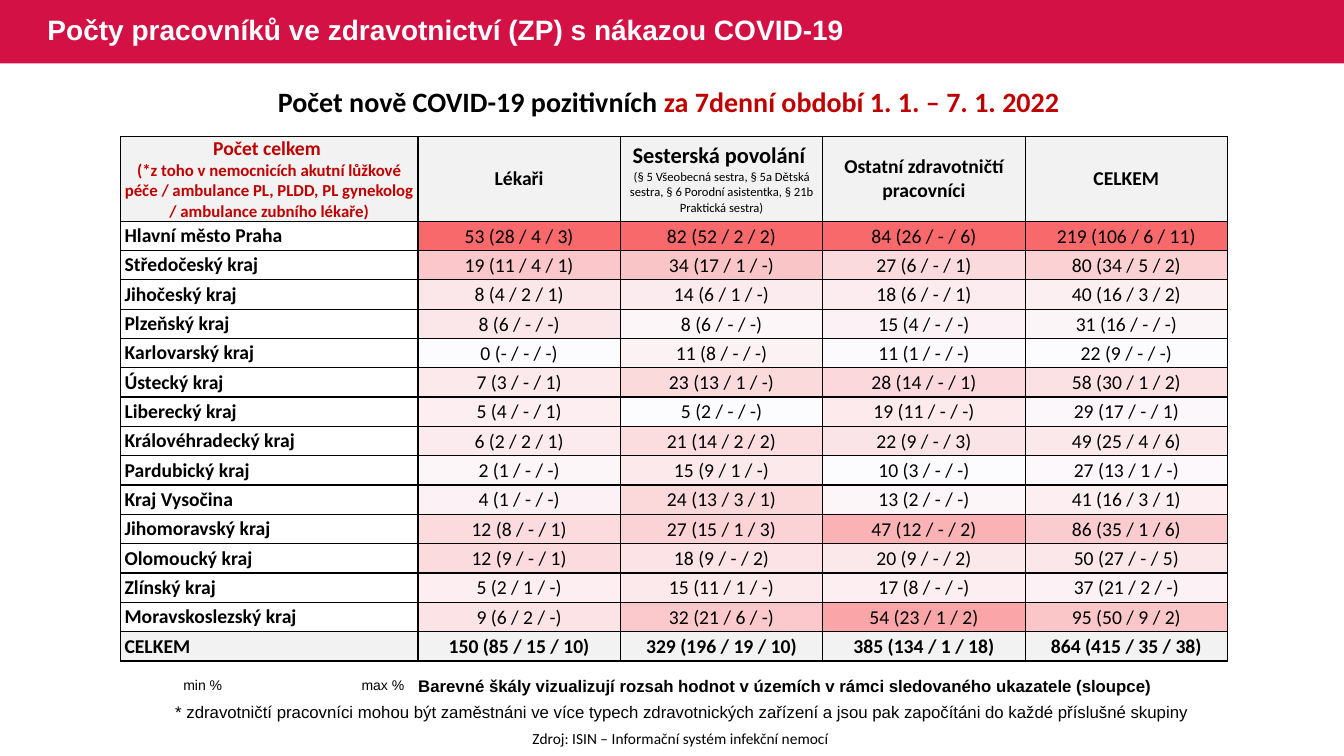
from lxml.etree import SubElement
from pptx import Presentation
from pptx.dml.color import RGBColor
from pptx.enum.shapes import MSO_SHAPE
from pptx.enum.text import MSO_ANCHOR, PP_ALIGN
from pptx.oxml.ns import qn
from pptx.util import Emu, Inches, Pt

SLIDE_WIDTH, SLIDE_HEIGHT = Inches(13.33), Inches(7.5)
BLACK, WHITE, RED, BAND, GREY = "000000", "FFFFFF", "C00000", "D31145", "F2F2F2"
SCALE_LOW, SCALE_HIGH = "FCFCFF", "F8696B"
PLAIN_TABLE_STYLE = "{2D5ABB26-0587-4C30-8999-92F81FD0307C}"

# Table grid, in percent of the slide's width and height
TABLE_LEFT, TABLE_TOP = 8.97, 18.05
LABEL_WIDTH, VALUE_WIDTH = 22.13, 15.06
HEADING_HEIGHT, ROW_HEIGHT = 11.2, 3.88

# Each heading is a list of paragraphs: text, size, bold, colour
HEADINGS = [
    [("Počet celkem ", 14, True, RED),
     ("(*z toho v nemocnicích akutní lůžkové péče / ambulance PL, PLDD, "
      "PL gynekolog / ambulance zubního lékaře)", 12, True, RED)],
    [("Lékaři", 14, True, BLACK)],
    [("Sesterská povolání ", 16, True, BLACK),
     ("(§ 5 Všeobecná sestra, § 5a Dětská sestra, § 6 Porodní asistentka, "
      "§ 21b Praktická sestra)", 9, False, BLACK)],
    [("Ostatní zdravotničtí pracovníci", 14, True, BLACK)],
    [("CELKEM", 14, True, BLACK)],
]
REGIONS = [
    ("Hlavní město Praha", "53 (28 / 4 / 3)", "82 (52 / 2 / 2)", "84 (26 / - / 6)", "219 (106 / 6 / 11)"),
    ("Středočeský kraj", "19 (11 / 4 / 1)", "34 (17 / 1 / -)", "27 (6 / - / 1)", "80 (34 / 5 / 2)"),
    ("Jihočeský kraj", "8 (4 / 2 / 1)", "14 (6 / 1 / -)", "18 (6 / - / 1)", "40 (16 / 3 / 2)"),
    ("Plzeňský kraj", "8 (6 / - / -)", "8 (6 / - / -)", "15 (4 / - / -)", "31 (16 / - / -)"),
    ("Karlovarský kraj", "0 (- / - / -)", "11 (8 / - / -)", "11 (1 / - / -)", "22 (9 / - / -)"),
    ("Ústecký kraj", "7 (3 / - / 1)", "23 (13 / 1 / -)", "28 (14 / - / 1)", "58 (30 / 1 / 2)"),
    ("Liberecký kraj", "5 (4 / - / 1)", "5 (2 / - / -)", "19 (11 / - / -)", "29 (17 / - / 1)"),
    ("Královéhradecký kraj", "6 (2 / 2 / 1)", "21 (14 / 2 / 2)", "22 (9 / - / 3)", "49 (25 / 4 / 6)"),
    ("Pardubický kraj", "2 (1 / - / -)", "15 (9 / 1 / -)", "10 (3 / - / -)", "27 (13 / 1 / -)"),
    ("Kraj Vysočina", "4 (1 / - / -)", "24 (13 / 3 / 1)", "13 (2 / - / -)", "41 (16 / 3 / 1)"),
    ("Jihomoravský kraj", "12 (8 / - / 1)", "27 (15 / 1 / 3)", "47 (12 / - / 2)", "86 (35 / 1 / 6)"),
    ("Olomoucký kraj", "12 (9 / - / 1)", "18 (9 / - / 2)", "20 (9 / - / 2)", "50 (27 / - / 5)"),
    ("Zlínský kraj", "5 (2 / 1 / -)", "15 (11 / 1 / -)", "17 (8 / - / -)", "37 (21 / 2 / -)"),
    ("Moravskoslezský kraj", "9 (6 / 2 / -)", "32 (21 / 6 / -)", "54 (23 / 1 / 2)", "95 (50 / 9 / 2)"),
]
TOTALS = ("CELKEM", "150 (85 / 15 / 10)", "329 (196 / 19 / 10)", "385 (134 / 1 / 18)", "864 (415 / 35 / 38)")
BODY = [*REGIONS, TOTALS]


def across(percent):
    return Emu(round(SLIDE_WIDTH * percent / 100))


def down(percent):
    return Emu(round(SLIDE_HEIGHT * percent / 100))


def place(left, top, width, height):
    return across(left), down(top), across(width), down(height)


def color(hex_string):
    return RGBColor.from_string(hex_string)


def add_run(paragraph, text, size, bold=False, ink=BLACK, font="Calibri"):
    run = paragraph.add_run()
    run.text = text
    run.font.size, run.font.bold, run.font.name = Pt(size), bold, font
    run.font.color.rgb = color(ink)


def set_margins(target, left, top, right, bottom):
    target.margin_left, target.margin_top = Inches(left), Inches(top)
    target.margin_right, target.margin_bottom = Inches(right), Inches(bottom)


def set_fill(target, hex_string):
    if hex_string is None:
        target.fill.background()
    else:
        target.fill.solid()
        target.fill.fore_color.rgb = color(hex_string)


def add_text(slide, box, align=PP_ALIGN.LEFT):
    """Add a wrapping text box and return its frame and first paragraph."""
    frame = slide.shapes.add_textbox(*place(*box)).text_frame
    frame.word_wrap = True
    paragraph = frame.paragraphs[0]
    paragraph.alignment = align
    return frame, paragraph


def add_title(slide, text):
    band = slide.shapes.add_shape(MSO_SHAPE.RECTANGLE, *place(0, 0, 100, 8.4))
    band.shadow.inherit = False
    set_fill(band, BAND)
    band.line.fill.background()
    band.element.getparent().insert(2, band.element)

    title = slide.shapes.title
    title.left, title.top, title.width, title.height = place(2.78, 0, 64.52, 8.4)
    title.text_frame.vertical_anchor = MSO_ANCHOR.MIDDLE
    paragraph = title.text_frame.paragraphs[0]
    paragraph.alignment = PP_ALIGN.LEFT
    paragraph.line_spacing = 0.9
    add_run(paragraph, text, 20, True, WHITE, "Arial")


def add_legend(slide, low, high):
    frame, paragraph = add_text(slide, (13.05, 89.47, 17.55, 2.27))
    set_margins(frame, 0.08, 0, 0, 0)
    tabs = SubElement(paragraph._p.get_or_add_pPr(), qn("a:tabLst"))
    SubElement(tabs, qn("a:tab"), pos=str(Inches(2.19)), algn="r")
    add_run(paragraph, f"{low}\t{high}", 10, font="Arial")


def add_plain_table(slide, left, top, column_widths, row_heights):
    table = slide.shapes.add_table(len(row_heights), len(column_widths), *place(
        left, top, sum(column_widths), sum(row_heights))).table
    table.first_row = table.horz_banding = False
    table._tbl.tblPr.find(qn("a:tableStyleId")).text = PLAIN_TABLE_STYLE
    for column, width in zip(table.columns, column_widths):
        column.width = across(width)
    for row, height in zip(table.rows, row_heights):
        row.height = down(height)
    return table


def format_cell(cell, paragraphs, fill, align=PP_ALIGN.CENTER, margins=(0.04, 0, 0.04, 0)):
    properties = cell._tc.get_or_add_tcPr()
    for side in ("lnL", "lnR", "lnT", "lnB"):
        border = SubElement(properties, qn(f"a:{side}"), w=str(Pt(1)))
        SubElement(SubElement(border, qn("a:solidFill")), qn("a:srgbClr"), val=BLACK)
    set_fill(cell, fill)
    cell.vertical_anchor = MSO_ANCHOR.MIDDLE
    set_margins(cell, *margins)
    frame = cell.text_frame
    for index, content in enumerate(paragraphs):
        paragraph = frame.add_paragraph() if index else frame.paragraphs[0]
        paragraph.alignment = align
        add_run(paragraph, *content)


def count(entry):
    return int(entry.split()[0])


def scale_color(entry, column):
    """Blend the scale ends by the entry's position in its column's range."""
    counts = [count(region[column]) for region in REGIONS]
    share = (count(entry) - min(counts)) / (max(counts) - min(counts))
    ends = zip(color(SCALE_LOW), color(SCALE_HIGH))
    return "".join(f"{round(low + (high - low) * share):02X}" for low, high in ends)


def add_color_scale(slide):
    """Lay the colour scale under the value columns."""
    table = add_plain_table(slide, TABLE_LEFT + LABEL_WIDTH, TABLE_TOP + HEADING_HEIGHT,
                            [VALUE_WIDTH] * 4, [ROW_HEIGHT] * len(BODY))
    for row, entries in enumerate(BODY):
        for column, value in enumerate(entries[1:], start=1):
            cell = table.cell(row, column - 1)
            set_margins(cell, 0, 0, 0, 0)
            set_fill(cell, None if entries is TOTALS else scale_color(value, column))
            # Small type keeps the empty rows at their set height
            SubElement(cell.text_frame.paragraphs[0]._p, qn("a:endParaRPr"), sz="1000")


def add_region_table(slide):
    table = add_plain_table(slide, TABLE_LEFT, TABLE_TOP, [LABEL_WIDTH] + [VALUE_WIDTH] * 4,
                            [HEADING_HEIGHT] + [ROW_HEIGHT] * len(BODY))
    for column, heading in enumerate(HEADINGS):
        format_cell(table.cell(0, column), heading, GREY)
    for row, entries in enumerate(BODY, start=1):
        is_total = entries is TOTALS
        fill = GREY if is_total else None
        label, *values = entries
        format_cell(table.cell(row, 0), [(label, 14, True)], fill, PP_ALIGN.LEFT)
        for column, value in enumerate(values, start=1):
            format_cell(table.cell(row, column), [(value, 14, is_total)], fill,
                        margins=(0.01, 0.01, 0.01, 0))


def main():
    presentation = Presentation()
    presentation.slide_width, presentation.slide_height = SLIDE_WIDTH, SLIDE_HEIGHT
    slide = presentation.slides.add_slide(presentation.slide_layouts.get_by_name("Title Only"))

    # Heading
    add_title(slide, "Počty pracovníků ve zdravotnictví (ZP) s nákazou COVID-19")
    _, subtitle = add_text(slide, (5, 10.53, 90, 5.87), PP_ALIGN.CENTER)
    add_run(subtitle, "Počet nově COVID-19 pozitivních ", 20, True)
    add_run(subtitle, "za 7denní období 1. 1. – 7. 1. 2022 ", 20, True, RED)

    # Counts by region over their colour scale
    add_color_scale(slide)
    add_region_table(slide)

    # Legend, notes and source
    add_legend(slide, "min %", "max %")
    _, scale_note = add_text(slide, (30.38, 88.67, 57.91, 4))
    add_run(scale_note, "Barevné škály vizualizují rozsah hodnot v územích v rámci "
            "sledovaného ukazatele (sloupce)", 12, True, font="Arial")
    _, staff_note = add_text(slide, (12.3, 92.13, 77.5, 4))
    add_run(staff_note, "* zdravotničtí pracovníci mohou být zaměstnáni ve více typech zdravotnických "
            "zařízení a jsou pak započítáni do každé příslušné skupiny", 12, font="Arial")
    _, source = add_text(slide, (24.53, 95.73, 52.21, 3.87), PP_ALIGN.CENTER)
    add_run(source, "Zdroj: ISIN – Informační systém infekční nemocí", 11)

    presentation.save("out.pptx")


if __name__ == "__main__":
    main()
